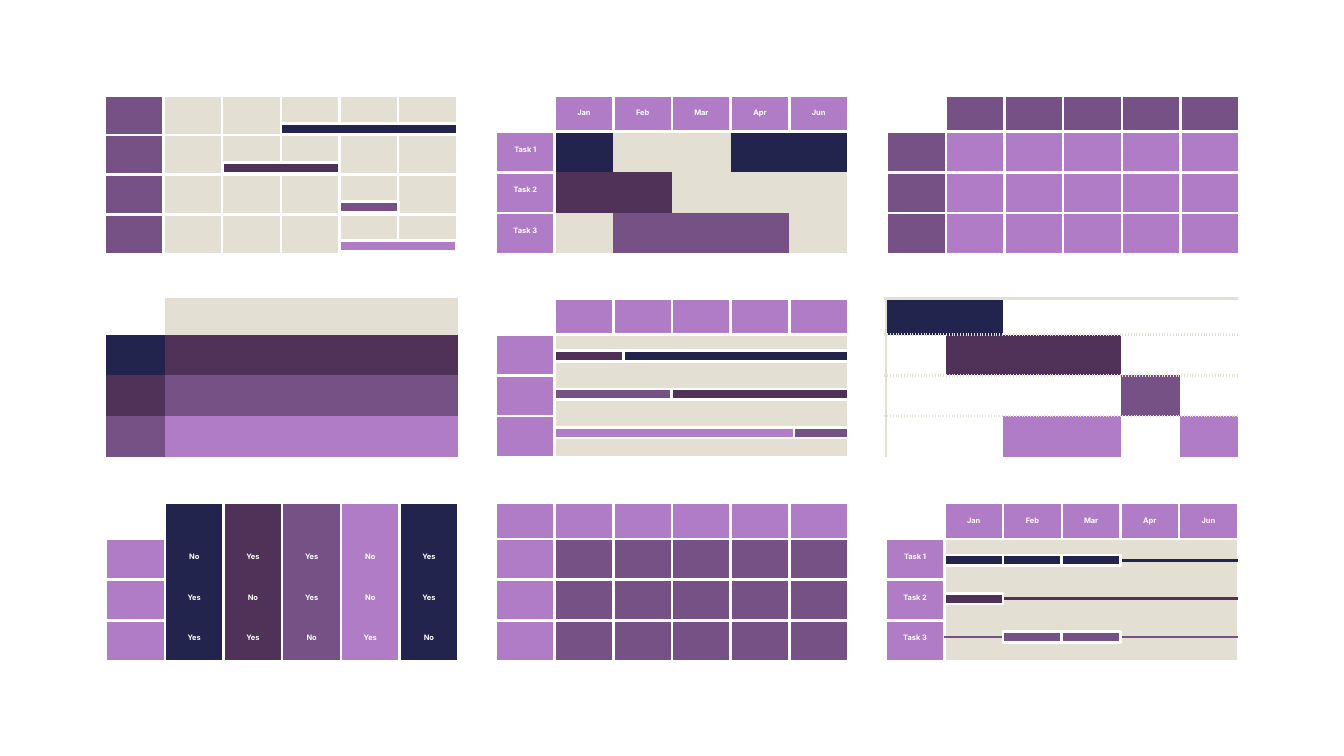
"""Builds a slide with nine small Gantt charts and tables in a three by three grid."""
from lxml import etree
from pptx import Presentation
from pptx import util as u
from pptx.dml.color import RGBColor
from pptx.enum import shapes, text
from pptx.oxml.ns import qn

COLORS = {"N": "22244E", "P": "503259", "V": "765186", "L": "B07CC6",
          "S": "E3DFD2", "W": "FFFFFF"}
MONTHS = ["", "Jan", "Feb", "Mar", "Apr", "Jun"]
SCHEDULE = [MONTHS, ["Task 1"], ["Task 2"], ["Task 3"]]
ANSWERS = [
    [],
    ["", "No", "Yes", "Yes", "No", "Yes"],
    ["", "Yes", "No", "Yes", "No", "Yes"],
    ["", "Yes", "Yes", "No", "Yes", "No"],
]

# Fill letters are keys of COLORS; a dot leaves the cell clear.
CHARTS = [
    {"fills": ["VSSSSS"] * 4, "rule": "grid", "even": True},
    {"fills": [".LLLLL", "LNSSNN", "LPPSSS", "LSVVVS"], "rule": "body", "words": SCHEDULE},
    {"fills": [".VVVVV"] + ["VLLLLL"] * 3, "rule": "grid"},
    {"fills": [".SSSSS", "NPPPPP", "PVVVVV", "VLLLLL"], "rule": "plain"},
    {"fills": [".LLLLL"] + ["LSSSSS"] * 3, "rule": "body"},
    {"fills": ["NN....", ".PPP..", "....V.", "..LL.L"], "rule": "dotted",
     "widths": (0.45, 0.42, 0.44, 0.44, 0.44, 0.43)},
    {"fills": [".NPVLN"] + ["LNPVLN"] * 3, "rule": "columns", "words": ANSWERS},
    {"fills": ["LLLLLL"] + ["LVVVVV"] * 3, "rule": "grid"},
    {"fills": [".LLLLL"] + ["LSSSSS"] * 3, "rule": "body", "words": SCHEDULE},
]
# Per chart: top of the first bar, step, and rows of (start column, span, colour).
BARS = {
    0: (0.21, 0.29, [[(3, 3, "N")], [(2, 2, "P")], [(4, 1, "V")], [(4, 2, "L")]]),
    4: (0.39, 0.285, [[(1, 5, "N"), (1, 1.17, "P")], [(1, 5, "P"), (1, 2, "V")],
                      [(1, 5, "V"), (1, 4.08, "L")]]),
    8: (0.39, 0.285, [[(1, 1, "N"), (2, 1, "N"), (3, 1, "N")], [(1, 1, "P")],
                      [(2, 1, "V"), (3, 1, "V")]]),
}
TIMELINE = 8
LEFTS = (0.78, 3.69, 6.6, 0.79, 3.69, 6.59, 0.79, 3.69, 6.59)
TOPS = (0.71, 2.22, 3.74)
WIDTH, HEIGHT, HEADER, BAR = 2.62, 1.18, 0.27, 0.08
ROWS, COLUMNS = 4, 6
STEP = WIDTH / COLUMNS
LINE = u.Pt(1.5)


def rgb(key):
    return RGBColor.from_string(COLORS[key])


def edges(rule, row, col):
    """Return the colour and dash of each visible cell edge."""
    white, solid, dots = ("W", "solid"), ("S", "solid"), ("S", "sysDot")
    if rule == "grid" or rule == "body" and 0 in (row, col) or rule == "columns" and col == 0:
        return dict.fromkeys("LRTB", white)
    visible = {}
    if rule in ("body", "columns"):
        body = rule == "body"
        outer = {"L": not body or col == 1, "R": not body or col == COLUMNS - 1,
                 "T": row == int(body), "B": row == ROWS - 1}
        visible = {side: white for side, shown in outer.items() if shown}
    elif rule == "dotted":
        visible["T"] = dots if row else solid
        if row < ROWS - 1:
            visible["B"] = dots
        if col == 0:
            visible["L"] = solid
    return visible


def draw_edges(cell, visible):
    properties = cell._tc.get_or_add_tcPr()
    for place, side in enumerate("LRTB"):
        edge = etree.Element(qn(f"a:ln{side}"), w=str(int(LINE)))
        if side in visible:
            key, dash = visible[side]
            fill = etree.SubElement(edge, qn("a:solidFill"))
            etree.SubElement(fill, qn("a:srgbClr"), val=COLORS[key])
            etree.SubElement(edge, qn("a:prstDash"), val=dash)
        else:
            etree.SubElement(edge, qn("a:noFill"))
        properties.insert(place, edge)


def write(cell, words, size=4, font="Inter", color="W", bold=True, margin=0.1):
    cell.margin_left = cell.margin_right = u.Inches(margin)
    cell.margin_top = cell.margin_bottom = u.Inches(margin)
    cell.vertical_anchor = text.MSO_ANCHOR.TOP
    line = cell.text_frame.paragraphs[0]
    line.alignment = text.PP_ALIGN.CENTER
    if not words:
        line._p.get_or_add_endParaRPr().set("sz", str(size * 100))
        return
    run = line.add_run()
    run.text = words
    run.font.size, run.font.name, run.font.bold = u.Pt(size), font, bold
    run.font.color.rgb = rgb(color)


def add_chart_table(slide, left, top, fills, rule, words=(), even=False,
                    widths=(STEP,) * COLUMNS):
    grid = slide.shapes.add_table(ROWS, COLUMNS, u.Inches(left), u.Inches(top),
                                  u.Inches(sum(widths)), u.Inches(HEIGHT)).table
    grid.first_row = grid.horz_banding = False
    for column, width in zip(grid.columns, widths):
        column.width = u.Inches(width)
    header = HEIGHT / ROWS if even else HEADER
    for row, keys in enumerate(fills):
        height = header if row == 0 else (HEIGHT - header) / (ROWS - 1)
        grid.rows[row].height = u.Inches(height)
        labels = words[row] if words else []
        for col, key in enumerate(keys):
            cell = grid.cell(row, col)
            write(cell, labels[col] if col < len(labels) else "")
            if key == ".":
                cell.fill.background()
            else:
                cell.fill.solid()
                cell.fill.fore_color.rgb = rgb(key)
            draw_edges(cell, edges(rule, row, col))


def add_bar(slide, left, top, width, color):
    bar = slide.shapes.add_shape(shapes.MSO_SHAPE.RECTANGLE, u.Inches(left), u.Inches(top),
                                 u.Inches(width), u.Inches(BAR))
    bar.shadow.inherit = False
    bar.fill.solid()
    bar.fill.fore_color.rgb = rgb(color)
    bar.line.color.rgb = rgb("W")
    bar.line.width = LINE


def add_timeline(slide, left, right, y, color):
    timeline = slide.shapes.add_connector(shapes.MSO_CONNECTOR.STRAIGHT, u.Inches(left),
                                          u.Inches(y), u.Inches(right), u.Inches(y))
    timeline.line.color.rgb = rgb(color)
    timeline.line.width = LINE
    etree.SubElement(timeline._element.spPr, qn("a:effectLst"))


def main():
    deck = Presentation()
    deck.slide_width = u.Inches(10)
    deck.slide_height = deck.slide_width * 9 // 16
    slide = deck.slides.add_slide(deck.slide_layouts[6])
    for index, chart in enumerate(CHARTS):
        left, top = LEFTS[index], TOPS[index // 3]
        add_chart_table(slide, left, top, **chart)
        first, step, tasks = BARS.get(index, (0, 0, []))
        for row, bars in enumerate(tasks):
            y = top + first + row * step
            if index == TIMELINE:
                add_timeline(slide, left + STEP, left + WIDTH, y + BAR / 2, bars[0][2])
            for start, span, color in bars:
                add_bar(slide, left + start * STEP, y, span * STEP, color)
    deck.save("out.pptx")


if __name__ == "__main__":
    main()
